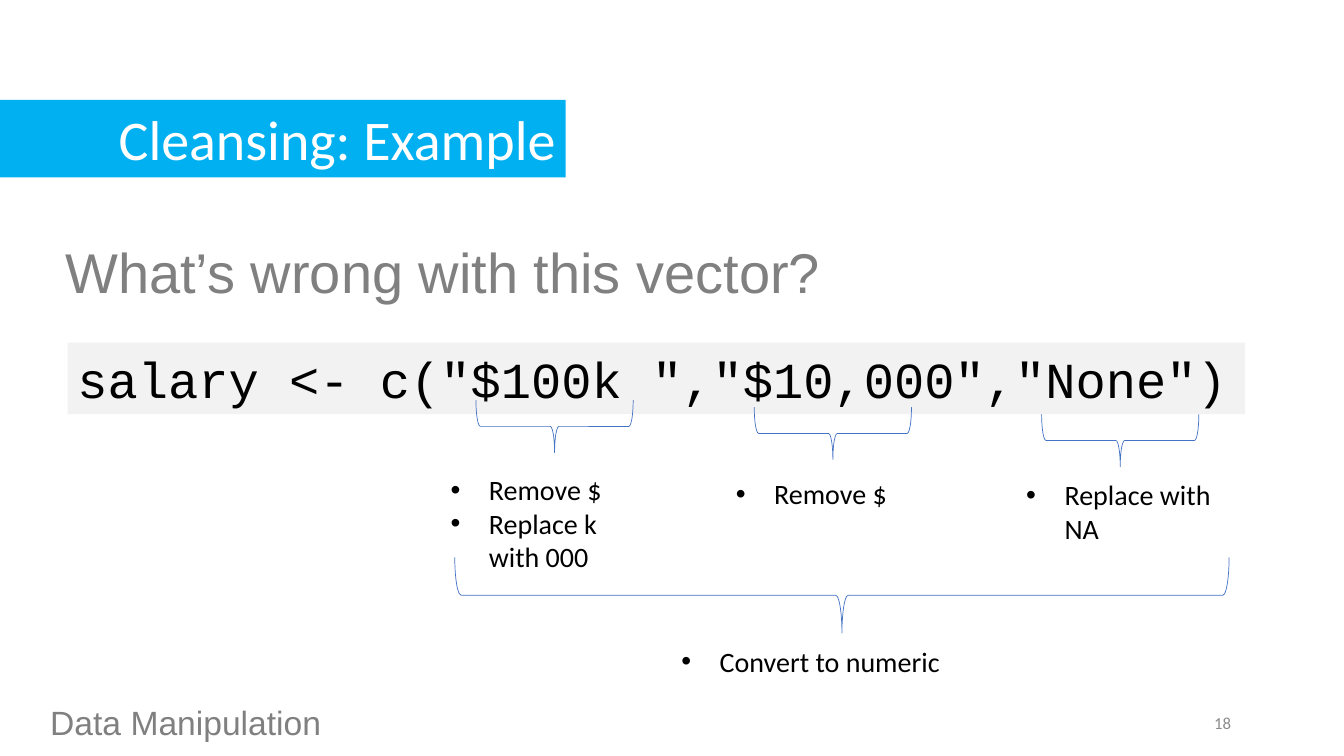
from lxml import etree
from pptx import Presentation
from pptx.dml.color import RGBColor
from pptx.enum.shapes import MSO_SHAPE
from pptx.enum.text import MSO_ANCHOR, PP_ALIGN
from pptx.oxml.ns import qn
from pptx.util import Inches, Pt

RECTANGLE, BRACE = MSO_SHAPE.RECTANGLE, MSO_SHAPE.RIGHT_BRACE
TOP, MIDDLE = MSO_ANCHOR.TOP, MSO_ANCHOR.MIDDLE
LEFT, RIGHT = PP_ALIGN.LEFT, PP_ALIGN.RIGHT

BLACK = RGBColor(0x00, 0x00, 0x00)
WHITE = RGBColor(0xFF, 0xFF, 0xFF)
GRAY = RGBColor(0x80, 0x80, 0x80)
PAGE_GRAY = RGBColor(0x8C, 0x8C, 0x8C)
CODE_FILL = RGBColor(0xF2, 0xF2, 0xF2)
SKY = RGBColor(0x00, 0xB0, 0xF0)
BRACE_BLUE = RGBColor(0x44, 0x72, 0xC4)

BULLET_INDENT = Inches(0.38)


def add_bullet(paragraph):
    """Give a paragraph a round bullet with a hanging indent."""
    properties = paragraph._p.get_or_add_pPr()
    properties.set("marL", str(BULLET_INDENT))
    properties.set("indent", str(-BULLET_INDENT))
    etree.SubElement(properties, qn("a:buFont")).set("typeface", "Arial")
    etree.SubElement(properties, qn("a:buChar")).set("char", "•")


def write(shape, lines, size, font, color, align=LEFT, anchor=TOP, bullets=False):
    """Write one paragraph per line into a shape."""
    frame = shape.text_frame
    frame.word_wrap = True
    frame.vertical_anchor = anchor
    for index, line in enumerate(lines):
        paragraph = frame.add_paragraph() if index else frame.paragraphs[0]
        paragraph.alignment = align
        if bullets:
            add_bullet(paragraph)
        run = paragraph.add_run()
        run.text = line
        run.font.size = Pt(size)
        run.font.name = font
        run.font.color.rgb = color


def add_text(slide, box, lines, size, font, color, **layout):
    """Add a text box at left, top, width, height in inches."""
    shape = slide.shapes.add_textbox(*map(Inches, box))
    write(shape, lines, size, font, color, **layout)


def add_bar(slide, box, fill, line, size, font, color, align=LEFT):
    """Add a filled rectangle holding one line of text."""
    shape = slide.shapes.add_shape(RECTANGLE, *map(Inches, box))
    shape.shadow.inherit = False
    shape.fill.solid()
    shape.fill.fore_color.rgb = fill
    shape.line.fill.background()
    write(shape, [line], size, font, color, align=align)


def add_brace(slide, left, top, span, depth):
    """Add a brace that opens upward over the given span."""
    offset = (span - depth) / 2
    box = (left + offset, top - offset, depth, span)
    shape = slide.shapes.add_shape(BRACE, *map(Inches, box))
    shape.rotation = 90
    shape.shadow.inherit = False
    shape.fill.background()
    shape.line.color.rgb = BRACE_BLUE
    shape.line.width = Pt(0.5)


def add_notes_list(slide, box, lines):
    """Add a bulleted list of cleansing steps."""
    add_text(slide, box, lines, 20, "Calibri", BLACK, bullets=True)


def main():
    """Build the slide and save it."""
    presentation = Presentation()
    presentation.slide_width = Inches(13.33)
    presentation.slide_height = Inches(7.5)
    slide = presentation.slides.add_slide(presentation.slide_layouts[6])

    add_bar(slide, (0, 0.99, 5.61, 0.77), SKY, "Cleansing: Example",
            40, "Calibri", WHITE, RIGHT)
    add_text(slide, (0.55, 2.31, 11.79, 0.77), ["What’s wrong with this vector?"],
             40, "Arial", GRAY)
    add_bar(slide, (0.67, 3.4, 11.68, 0.71), CODE_FILL,
            'salary <- c("$100k ","$10,000","None")', 36, "Courier New", BLACK)

    for left, top in ((4.72, 3.97), (7.48, 4.04), (10.33, 4.11)):
        add_brace(slide, left, top, 1.56, 0.52)
    add_brace(slide, 4.51, 5.53, 7.68, 0.75)

    add_notes_list(slide, (4.37, 4.64, 2.11, 1.11), ["Remove $", "Replace k with 000"])
    add_notes_list(slide, (7.2, 4.68, 2.11, 0.44), ["Remove $"])
    add_notes_list(slide, (10.08, 4.69, 2.11, 0.77), ["Replace with NA"])
    add_notes_list(slide, (6.66, 6.34, 3.43, 0.44), ["Convert to numeric"])

    add_text(slide, (0.4, 6.91, 8.9, 0.5), ["Data Manipulation"], 24, "Arial", GRAY)
    add_text(slide, (9.31, 6.97, 3, 0.4), ["18"], 12, "Calibri", PAGE_GRAY,
             align=RIGHT, anchor=MIDDLE)

    presentation.save("out.pptx")


if __name__ == "__main__":
    main()
